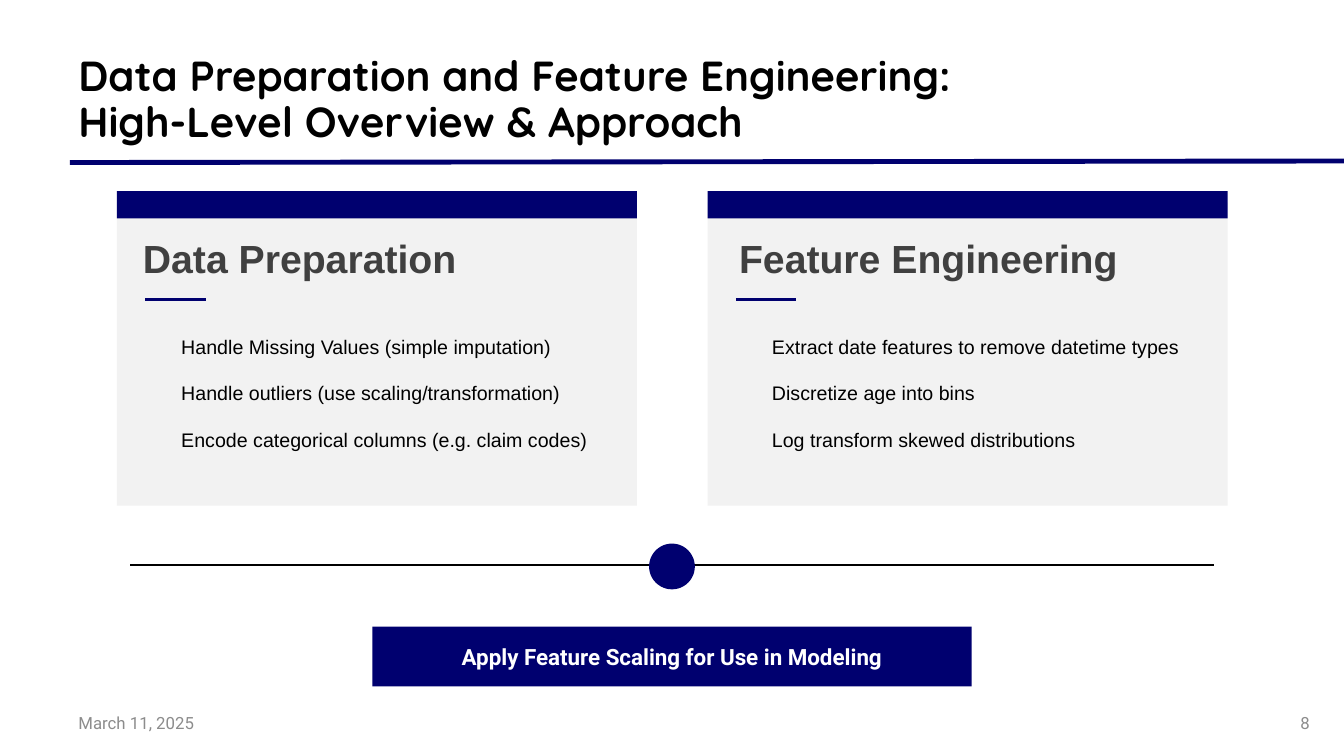
"""Build the data preparation and feature engineering overview slide."""
from pptx import Presentation
from pptx import util as u
from pptx.dml.color import RGBColor
from pptx.enum import shapes, text
from pptx.oxml.ns import qn

NAVY = RGBColor(0x00, 0x00, 0x6F)
PALE = RGBColor(0xF2, 0xF2, 0xF2)
SLATE = RGBColor(0x40, 0x40, 0x40)
GREY = RGBColor(0x8C, 0x8C, 0x8C)
BLACK = RGBColor(0, 0, 0)
WHITE = RGBColor(255, 255, 255)

WIDE, HIGH = u.Inches(13.333), u.Inches(7.5)
LEFT, MID, RIGHT = text.PP_ALIGN.LEFT, text.PP_ALIGN.CENTER, text.PP_ALIGN.RIGHT
TOP, CORE, BASE = text.MSO_ANCHOR.TOP, text.MSO_ANCHOR.MIDDLE, text.MSO_ANCHOR.BOTTOM
RECT, OVAL = shapes.MSO_SHAPE.RECTANGLE, shapes.MSO_SHAPE.OVAL

CARD_W = 38.7
CARDS = [
    (8.7, "Data Preparation", LEFT, [
        "Handle Missing Values (simple imputation)",
        "Handle outliers (use scaling/transformation)",
        "Encode categorical columns (e.g. claim codes)"]),
    (52.65, "Feature Engineering", MID, [
        "Extract date features to remove datetime types",
        "Discretize age into bins",
        "Log transform skewed distributions"]),
]


def col(share):
    """Turn a percentage of the slide width into a length."""
    return round(WIDE * share / 100)


def row(share):
    """Turn a percentage of the slide height into a length."""
    return round(HIGH * share / 100)


def frame(x, y, w, h):
    """Turn a box given in percentages into lengths."""
    return col(x), row(y), col(w), row(h)


def write(shape, words, size, font, color, bold=False, align=LEFT, anchor=CORE):
    """Put one styled paragraph in a shape."""
    body = shape.text_frame
    body.word_wrap = True
    body.vertical_anchor = anchor
    para = body.paragraphs[0]
    para.text = words
    para.alignment = align
    para.font.size = u.Pt(size)
    para.font.name = font
    para.font.bold = bold
    para.font.color.rgb = color
    return para


def label(slide, box, *args, **style):
    """Add a text box with one styled paragraph."""
    return write(slide.shapes.add_textbox(*frame(*box)), *args, **style)


def block(slide, box, fill, kind=RECT):
    """Add a plain filled shape."""
    shape = slide.shapes.add_shape(kind, *frame(*box))
    shape.shadow.inherit = False
    shape.fill.solid()
    shape.fill.fore_color.rgb = fill
    shape.line.fill.background()
    return shape


def rule(slide, start, end, color, width):
    """Add a straight line between two points."""
    line = slide.shapes.add_connector(
        shapes.MSO_CONNECTOR.STRAIGHT,
        col(start[0]), row(start[1]), col(end[0]), row(end[1]))
    line.line.color.rgb = color
    line.line.width = u.Pt(width)
    props = line._element.spPr
    props.append(props.makeelement(qn("a:effectLst"), {}))


def card(slide, x, title, align, items):
    """Add a panel with its top bar, heading and list."""
    block(slide, (x, 26.8, CARD_W, 40.1), PALE)
    block(slide, (x, 25.3, CARD_W, 3.6), NAVY)
    label(slide, (x + 1.2, 30.4, 30.45, 7.6), title, 28, "Arial", SLATE,
          bold=True, align=align, anchor=TOP)
    rule(slide, (x + 2.1, 39.6), (x + 6.6, 39.6), NAVY, 2.25)
    for i, item in enumerate(items):
        label(slide, (x + 4.05, 42 + 6.18 * i, 32.6, 7.6), item, 14, "Arial", BLACK)


def main():
    """Draw the slide and save it."""
    deck = Presentation()
    deck.slide_width, deck.slide_height = WIDE, HIGH
    slide = deck.slides.add_slide(deck.slide_layouts[6])

    rule(slide, (5.2, 21.5), (100, 21.3), NAVY, 3.5)
    title = label(slide, (5.1, 2.1, 79.3, 17.9),
                  "Data Preparation and Feature Engineering:\n"
                  "High-Level Overview & Approach",
                  30, "Quicksand", BLACK, bold=True, anchor=BASE)
    title.line_spacing = 0.9

    for item in CARDS:
        card(slide, *item)

    rule(slide, (9.7, 74.7), (90.3, 74.7), BLACK, 1.5)
    dot = block(slide, (48.35, 72, 3.3, 5.87), NAVY, OVAL)
    dot.line.color.rgb = NAVY
    dot.line.width = u.Pt(1)
    step = block(slide, (27.7, 82.9, 44.6, 7.9), NAVY)
    write(step, "Apply Feature Scaling for Use in Modeling", 16, "Roboto", WHITE,
          bold=True, align=MID)

    label(slide, (5.1, 92.9, 15.2, 5.3), "March 11, 2025", 12, "Roboto", GREY)
    label(slide, (75.7, 92.9, 22.5, 5.3), "8", 12, "Roboto", GREY, align=RIGHT)
    deck.save("out.pptx")


if __name__ == "__main__":
    main()
